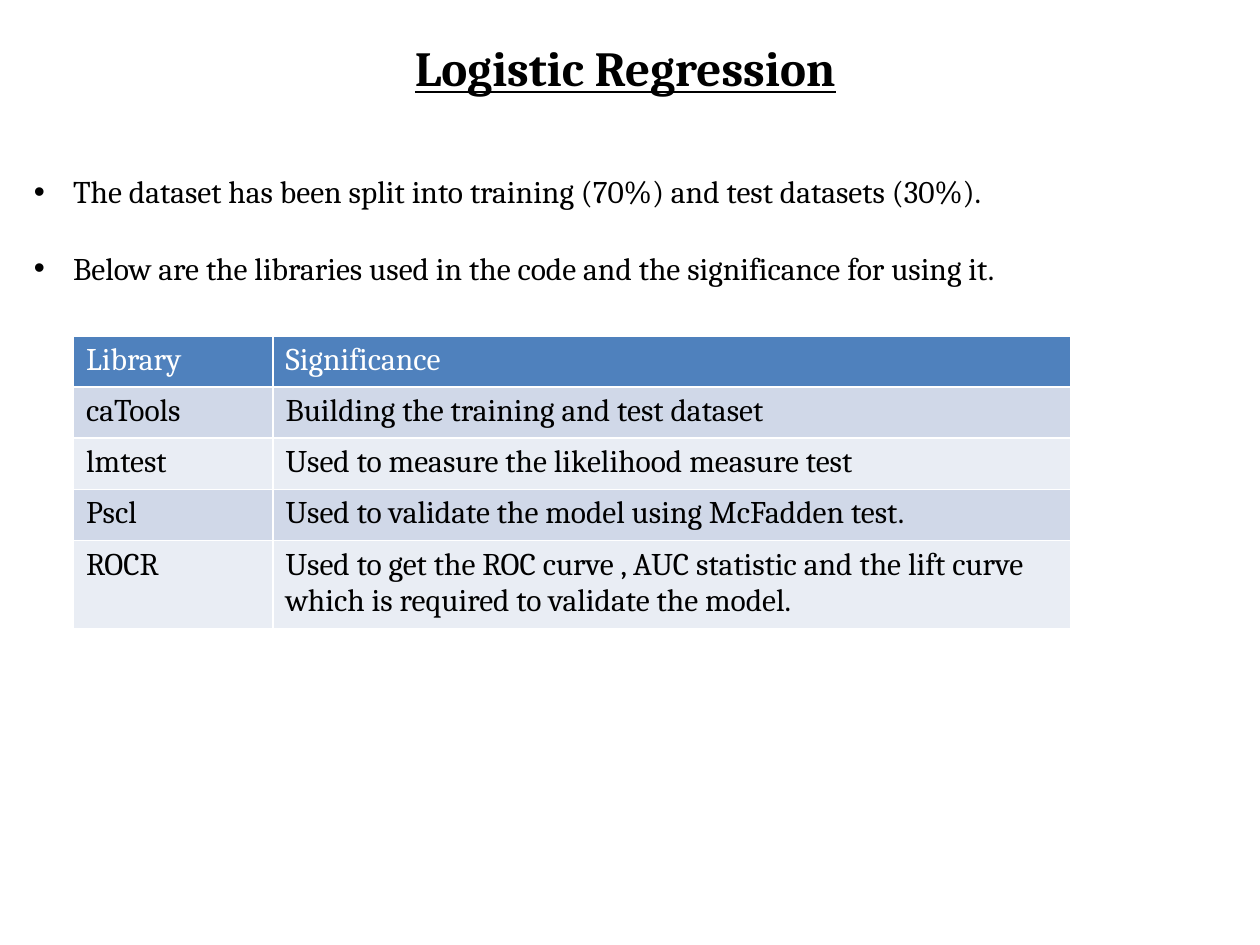
"""Build the Logistic Regression slide with its bullets and library table."""
from dataclasses import dataclass
from typing import NamedTuple

from lxml.etree import SubElement
from pptx import Presentation
from pptx.dml.color import RGBColor as Rgb
from pptx.enum.text import MSO_ANCHOR as Anchor, MSO_AUTO_SIZE as AutoSize, PP_ALIGN as Align
from pptx.oxml.ns import qn
from pptx.util import Pt


@dataclass(frozen=True)
class Theme:
    font: str = "Cambria"
    title_size: int = 28
    body_size: int = 18
    ink: Rgb = Rgb(0, 0, 0)
    header_ink: Rgb = Rgb(255, 255, 255)
    header_fill: Rgb = Rgb(0x4F, 0x81, 0xBD)
    bands: tuple = (Rgb(0xD0, 0xD8, 0xE8), Rgb(0xE9, 0xED, 0xF4))


class Library(NamedTuple):
    name: str
    significance: str


THEME = Theme()
LEFT, WIDTH = 12.24, 690
INDENT = 22.5
ROW_HEIGHT = 29.2
COLUMN_WIDTHS = (114, 456)
STATEMENTS = (
    "The dataset has been split into training (70%) and test datasets (30%).",
    "Below are the libraries used in the code and the significance for using it.",
)
LIBRARIES = (
    Library("Library", "Significance"),
    Library("caTools", "Building the training and test dataset"),
    Library("lmtest", "Used to measure the likelihood measure test"),
    Library("Pscl", "Used to validate the model using McFadden test."),
    Library("ROCR", "Used to get the ROC curve , AUC statistic and the lift curve "
                    "which is required to validate the model."),
)


def write(paragraph, words: str, color: Rgb = THEME.ink, **formats) -> None:
    """Add one run in the theme font with the given format values."""
    run = paragraph.add_run()
    run.text = words
    values = {"name": THEME.font, "size": Pt(THEME.body_size), "bold": False} | formats
    for attribute, value in values.items():
        setattr(run.font, attribute, value)
    run.font.color.rgb = color


def place(shape, left: float, top: float, width: float, height: float) -> None:
    """Set the position and size of a shape in points."""
    bounds = {"left": left, "top": top, "width": width, "height": height}
    for attribute, value in bounds.items():
        setattr(shape, attribute, Pt(value))


def add_title(slide, words: str) -> None:
    """Place and fill the title placeholder."""
    title = slide.shapes.title
    place(title, LEFT, 18, WIDTH, 42)
    frame = title.text_frame
    frame.auto_size = AutoSize.NONE
    frame.vertical_anchor = Anchor.TOP
    heading = frame.paragraphs[0]
    heading.alignment = Align.CENTER
    write(heading, words, size=Pt(THEME.title_size), bold=True, underline=True)


def add_statements(slide, statements: tuple[str, ...]) -> None:
    """Add the bulleted statements below the title."""
    frame = slide.shapes.add_textbox(Pt(LEFT), Pt(95), Pt(WIDTH), Pt(72)).text_frame
    frame.word_wrap = True
    for index, statement in enumerate(statements):
        bullet = frame.paragraphs[0] if index == 0 else frame.add_paragraph()
        bullet.space_before = Pt(22 if index else 0)
        properties = bullet._p.get_or_add_pPr()
        properties.set("marL", str(Pt(INDENT)))
        properties.set("indent", str(Pt(-INDENT)))
        SubElement(properties, qn("a:buFont"), typeface="Arial")
        SubElement(properties, qn("a:buChar"), char="•")
        write(bullet, statement)


def add_libraries(slide, libraries: tuple[Library, ...]) -> None:
    """Add the table of libraries with a header and alternating bands."""
    table = slide.shapes.add_table(
        len(libraries), len(COLUMN_WIDTHS), Pt(42), Pt(192),
        Pt(sum(COLUMN_WIDTHS)), Pt(ROW_HEIGHT * len(libraries))).table
    for column, width in zip(table.columns, COLUMN_WIDTHS):
        column.width = Pt(width)
    for index, (row, library) in enumerate(zip(table.rows, libraries)):
        row.height = Pt(ROW_HEIGHT)
        is_header = index == 0
        fill = THEME.header_fill if is_header else THEME.bands[(index - 1) % 2]
        ink = THEME.header_ink if is_header else THEME.ink
        for cell, words in zip(row.cells, library):
            cell.fill.solid()
            cell.fill.fore_color.rgb = fill
            write(cell.text_frame.paragraphs[0], words, ink)


def main() -> None:
    """Assemble and save the presentation."""
    deck = Presentation()
    deck.slide_width, deck.slide_height = Pt(720), Pt(540)
    slide = deck.slides.add_slide(deck.slide_layouts[5])
    add_title(slide, "Logistic Regression")
    add_statements(slide, STATEMENTS)
    add_libraries(slide, LIBRARIES)
    deck.save("out.pptx")


main()
